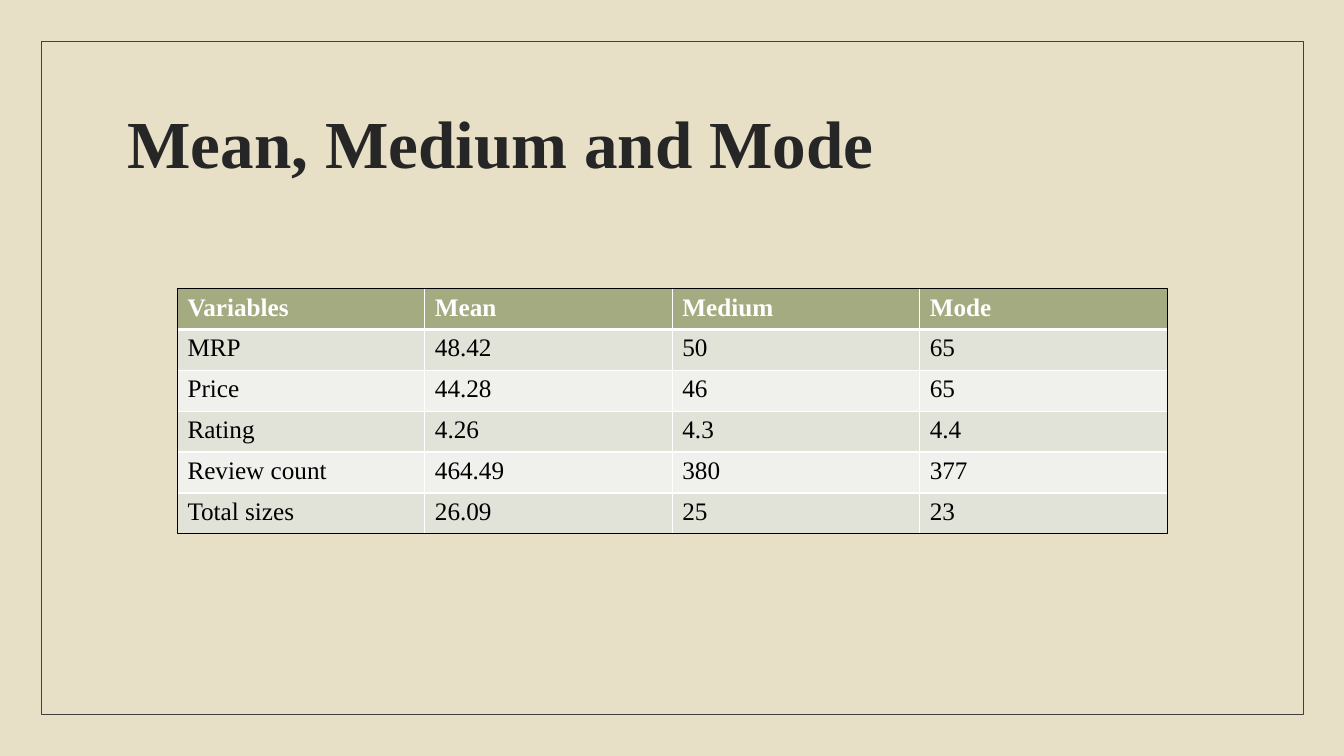
from lxml.etree import SubElement
from pptx import Presentation
from pptx.dml.color import RGBColor
from pptx.enum.shapes import MSO_SHAPE
from pptx.enum.text import MSO_ANCHOR
from pptx.oxml.ns import qn
from pptx.util import Pt

BACKGROUND = RGBColor(0xE7, 0xE0, 0xC7)
FRAME = RGBColor(0x40, 0x40, 0x40)
TITLE = RGBColor(0x26, 0x26, 0x26)
HEADER = RGBColor(0xA5, 0xAB, 0x81)
BANDS = (RGBColor(0xF0, 0xF1, 0xED), RGBColor(0xE1, 0xE2, 0xD8))
WHITE = RGBColor(0xFF, 0xFF, 0xFF)
BLACK = RGBColor(0x00, 0x00, 0x00)

FONT = "Times New Roman"
TABLE_BOX = (126.75, 206.1, 707.04, 175.2)
STATISTICS = [
    ("Variables", "Mean", "Medium", "Mode"),
    ("MRP", "48.42", "50", "65"),
    ("Price", "44.28", "46", "65"),
    ("Rating", "4.26", "4.3", "4.4"),
    ("Review count", "464.49", "380", "377"),
    ("Total sizes", "26.09", "25", "23"),
]


def write(p, text, color, **formats):
    r = p.add_run()
    r.text = text
    for name, value in formats.items():
        setattr(r.font, name, value)
    r.font.color.rgb = color


def add_outline(slide, box, color, width):
    sp = slide.shapes.add_shape(MSO_SHAPE.RECTANGLE, *map(Pt, box))
    sp.shadow.inherit = False
    sp.fill.background()
    sp.line.color.rgb = color
    sp.line.width = Pt(width)


def add_title(slide, box, text):
    tf = slide.shapes.add_textbox(*map(Pt, box)).text_frame
    tf.word_wrap = True
    tf.vertical_anchor = MSO_ANCHOR.MIDDLE
    p = tf.paragraphs[0]
    p.line_spacing = 0.9
    write(p, text, TITLE, name=FONT, size=Pt(48), bold=True)


def set_borders(cell, color, widths):
    tcPr = cell._tc.get_or_add_tcPr()
    for side, width in widths.items():
        ln = SubElement(tcPr, qn(f"a:ln{side}"), w=str(Pt(width)))
        fill = SubElement(ln, qn("a:solidFill"))
        SubElement(fill, qn("a:srgbClr"), val=str(color))


def add_table(slide, box, rows):
    shape = slide.shapes.add_table(len(rows), len(rows[0]), *map(Pt, box))
    table = shape.table
    for column in table.columns:
        column.width = Pt(box[2] / len(rows[0]))
    for i, values in enumerate(rows):
        table.rows[i].height = Pt(box[3] / len(rows))
        header = i == 0
        for j, value in enumerate(values):
            cell = table.cell(i, j)
            # The rule under the header row is heavier
            set_borders(cell, WHITE, {"L": 1, "R": 1,
                                      "T": 3 if i == 1 else 1,
                                      "B": 3 if header else 1})
            cell.fill.solid()
            cell.fill.fore_color.rgb = HEADER if header else BANDS[i % 2]
            write(cell.text_frame.paragraphs[0], value,
                  WHITE if header else BLACK,
                  name=FONT, size=Pt(18), bold=header)


def main():
    prs = Presentation()
    prs.slide_width, prs.slide_height = Pt(960), Pt(540)
    slide = prs.slides.add_slide(prs.slide_layouts[6])
    slide.background.fill.solid()
    slide.background.fill.fore_color.rgb = BACKGROUND

    # Page frame and title
    add_outline(slide, (29.5, 29.5, 901.5, 481), FRAME, 0.5)
    add_title(slide, (84, 51, 792, 108), "Mean, Medium and Mode")

    # Statistics table with its border
    add_table(slide, TABLE_BOX, STATISTICS)
    add_outline(slide, TABLE_BOX, BLACK, 1)

    prs.save("out.pptx")


if __name__ == "__main__":
    main()
